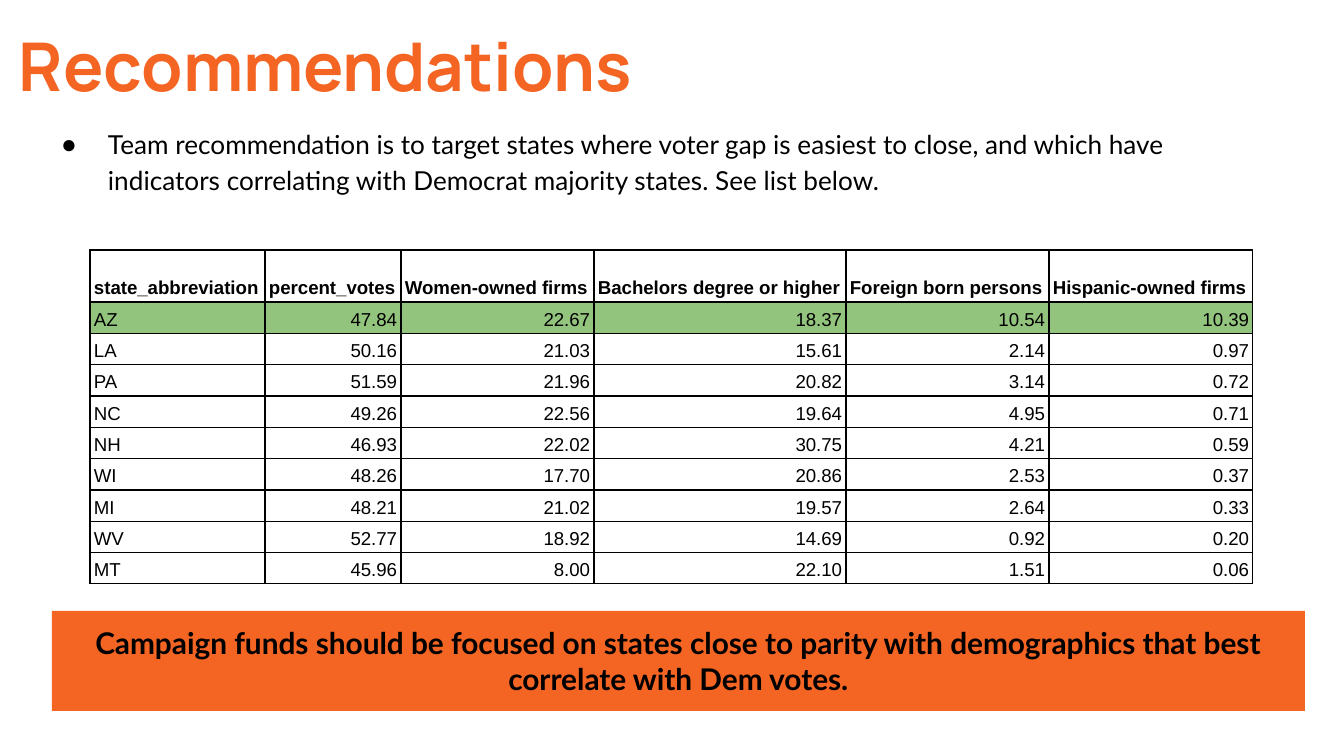
from pptx import Presentation
from pptx.dml.color import RGBColor
from pptx.enum.shapes import MSO_SHAPE
from pptx.enum.text import MSO_ANCHOR, MSO_AUTO_SIZE, PP_ALIGN
from pptx.oxml.xmlchemy import OxmlElement
from pptx.util import Pt

RECT = MSO_SHAPE.RECTANGLE
TOP, MIDDLE, BOTTOM = MSO_ANCHOR.TOP, MSO_ANCHOR.MIDDLE, MSO_ANCHOR.BOTTOM
LEFT, CENTER, RIGHT = PP_ALIGN.LEFT, PP_ALIGN.CENTER, PP_ALIGN.RIGHT
FIXED = MSO_AUTO_SIZE.NONE

ORANGE = RGBColor(0xF4, 0x65, 0x24)
GREEN = RGBColor(0x93, 0xC4, 0x7D)
BLACK = RGBColor(0, 0, 0)

SCALE = 914400 / 134.4
PAD = 13
WIDTHS = [175, 136, 193, 252, 203, 204]
HEAD_H, ROWS_H = 52, 282

HEADS = ["state_abbreviation", "percent_votes", "Women-owned firms",
         "Bachelors degree or higher", "Foreign born persons",
         "Hispanic-owned firms"]
STATES = [
    ["AZ", "47.84", "22.67", "18.37", "10.54", "10.39"],
    ["LA", "50.16", "21.03", "15.61", "2.14", "0.97"],
    ["PA", "51.59", "21.96", "20.82", "3.14", "0.72"],
    ["NC", "49.26", "22.56", "19.64", "4.95", "0.71"],
    ["NH", "46.93", "22.02", "30.75", "4.21", "0.59"],
    ["WI", "48.26", "17.70", "20.86", "2.53", "0.37"],
    ["MI", "48.21", "21.02", "19.57", "2.64", "0.33"],
    ["WV", "52.77", "18.92", "14.69", "0.92", "0.20"],
    ["MT", "45.96", "8.00", "22.10", "1.51", "0.06"],
]
ADVICE = ("Team recommendation is to target states where voter gap is easiest "
          "to close, and which have indicators correlating with Democrat "
          "majority states. See list below.")
CLAIM = ("Campaign funds should be focused on states close to parity with "
         "demographics that best correlate with Dem votes.")


def px(n):
    return round(n * SCALE)


def place(shape, *box):
    shape.left, shape.top, shape.width, shape.height = map(px, box)


def apply(obj, values):
    for name, value in values.items():
        setattr(obj, name, value)


def write(frame, text, para, font, color):
    frame.text = text
    line = frame.paragraphs[0]
    apply(line, para)
    run = line.runs[0]
    apply(run.font, font)
    run.font.color.rgb = color


def fit(frame, anchor):
    pad = px(PAD)
    apply(frame, {"word_wrap": True, "auto_size": FIXED,
                  "vertical_anchor": anchor,
                  "margin_left": pad, "margin_right": pad,
                  "margin_top": pad, "margin_bottom": pad})


def add_title(slide):
    title = slide.shapes.title
    place(title, 6, 8, 1300, 113)
    fit(title.text_frame, MIDDLE)
    write(title.text_frame, "Recommendations", {"alignment": LEFT},
          {"name": "Manrope", "size": Pt(36), "bold": True}, ORANGE)


def add_advice(slide):
    body = slide.placeholders[1]
    place(body, 28, 111, 1236, 96)
    frame = body.text_frame
    fit(frame, TOP)
    write(frame, ADVICE,
          {"alignment": LEFT, "line_spacing": 1.15, "space_before": Pt(0)},
          {"name": "Lato", "size": Pt(14)}, BLACK)
    set_bullet(frame.paragraphs[0], "●", 67, 47)


def set_bullet(line, mark, indent, hang):
    props = line._p.get_or_add_pPr()
    props.set("marL", str(px(indent)))
    props.set("indent", str(-px(hang)))
    tint = OxmlElement("a:buClr")
    rgb = OxmlElement("a:srgbClr")
    rgb.set("val", str(BLACK))
    tint.append(rgb)
    char = OxmlElement("a:buChar")
    char.set("char", mark)
    props.extend([tint, char])


def add_banner(slide):
    bar = slide.shapes.add_shape(RECT, 0, 0, 0, 0)
    place(bar, 52, 611, 1253, 100)
    bar.shadow.inherit = False
    bar.fill.solid()
    bar.fill.fore_color.rgb = ORANGE
    bar.line.fill.background()
    fit(bar.text_frame, MIDDLE)
    write(bar.text_frame, CLAIM, {"alignment": CENTER},
          {"name": "Lato", "size": Pt(16), "bold": True}, BLACK)


def set_border(cell):
    """Draw a thin black line on all four sides, ahead of the cell's fill."""
    props = cell._tc.get_or_add_tcPr()
    for i, side in enumerate(("lnL", "lnR", "lnT", "lnB")):
        edge = OxmlElement("a:" + side)
        edge.set("w", str(Pt(0.75)))
        fill = OxmlElement("a:solidFill")
        rgb = OxmlElement("a:srgbClr")
        rgb.set("val", str(BLACK))
        fill.append(rgb)
        edge.append(fill)
        props.insert(i, edge)


def fill_cell(cell, text, r, c):
    apply(cell, {"vertical_anchor": BOTTOM,
                 "margin_left": px(4), "margin_right": px(4),
                 "margin_top": px(3), "margin_bottom": px(3)})
    write(cell.text_frame, text,
          {"alignment": RIGHT if r and c else LEFT, "line_spacing": 1.15},
          {"name": "Arial", "size": Pt(10), "bold": r == 0}, BLACK)
    if r == 1:
        cell.fill.solid()
        cell.fill.fore_color.rgb = GREEN
    else:
        cell.fill.background()
    set_border(cell)


def add_states(slide):
    rows = [HEADS] + STATES
    grid = slide.shapes.add_table(
        len(rows), len(HEADS), px(90), px(250),
        px(sum(WIDTHS)), px(HEAD_H + ROWS_H)).table
    apply(grid, {"first_row": False, "horz_banding": False})
    for col, width in zip(grid.columns, WIDTHS):
        col.width = px(width)
    for r, texts in enumerate(rows):
        grid.rows[r].height = px(ROWS_H / len(STATES) if r else HEAD_H)
        for c, text in enumerate(texts):
            fill_cell(grid.cell(r, c), text, r, c)


def main():
    deck = Presentation()
    deck.slide_width, deck.slide_height = px(1344), px(756)
    slide = deck.slides.add_slide(deck.slide_layouts[1])
    add_title(slide)
    add_banner(slide)
    add_advice(slide)
    add_states(slide)
    deck.save("out.pptx")


if __name__ == "__main__":
    main()
